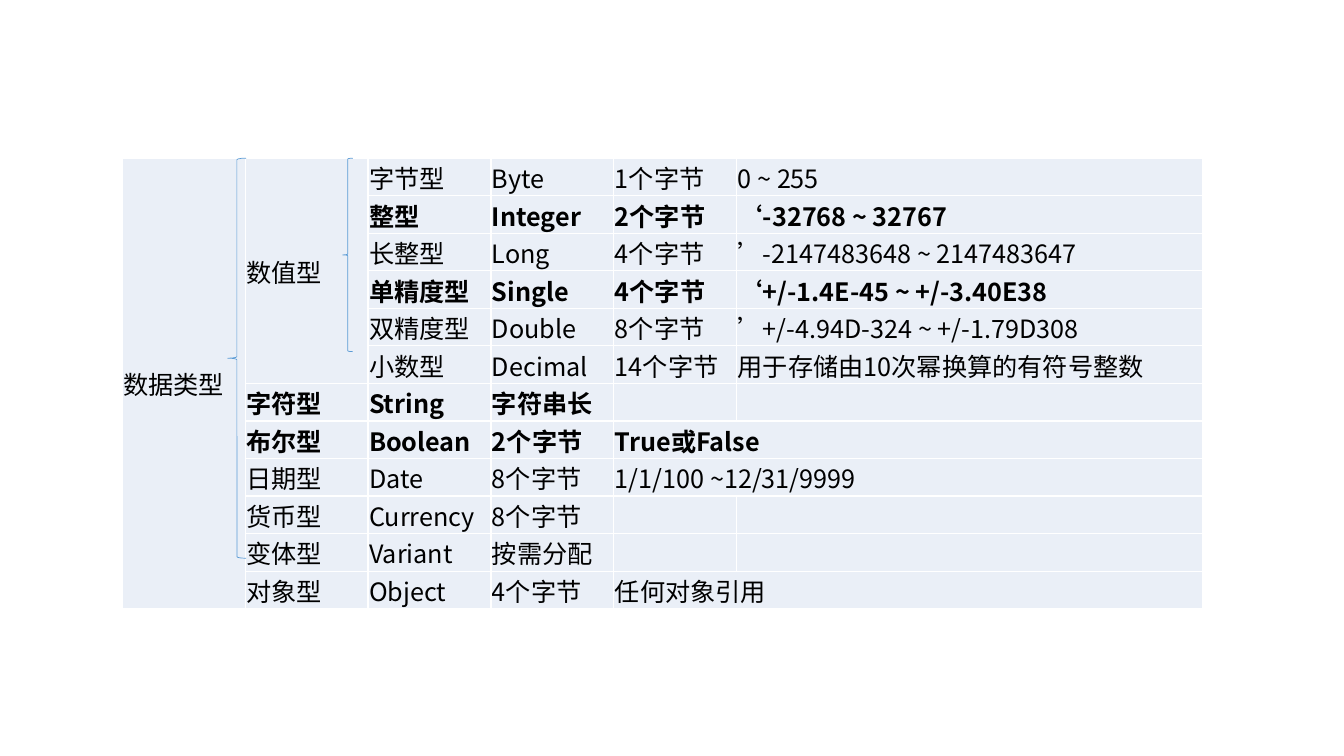
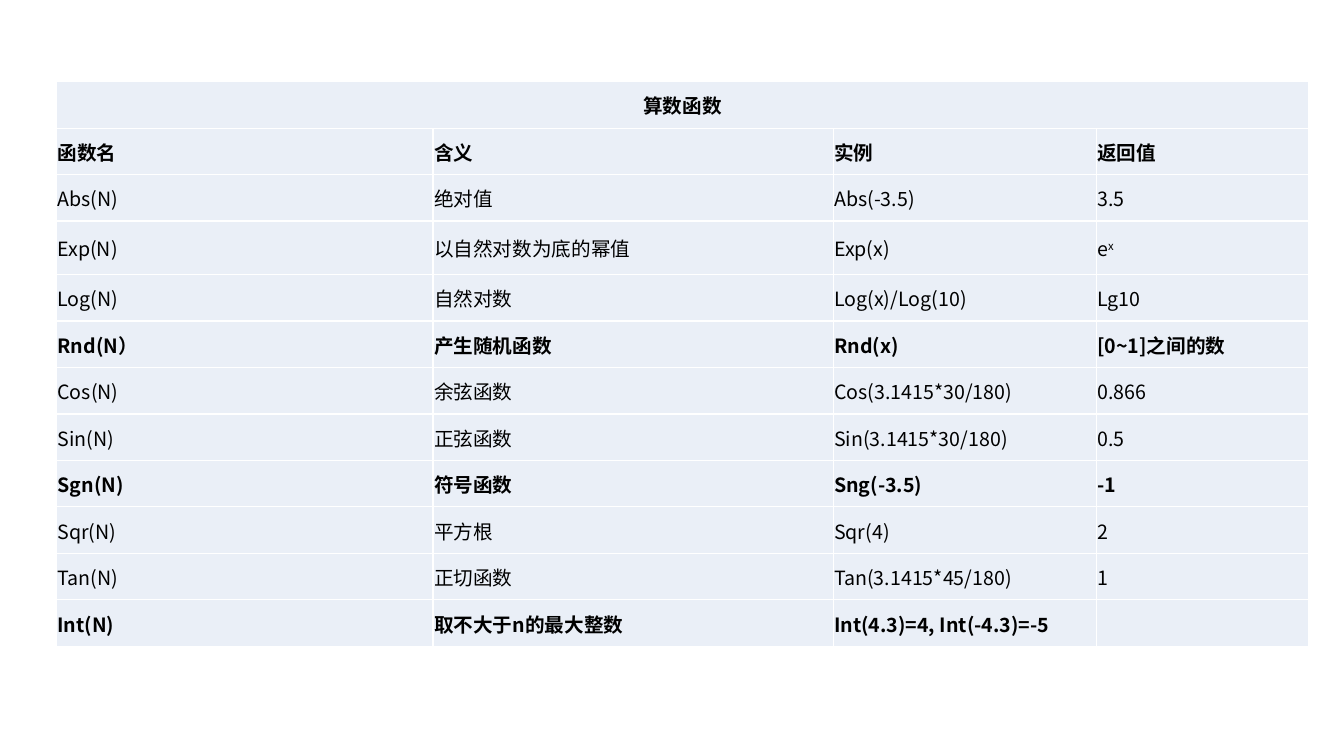
from lxml import etree
from pptx import Presentation
from pptx.dml.color import RGBColor
from pptx.enum.lang import MSO_LANGUAGE_ID
from pptx.enum.shapes import MSO_SHAPE
from pptx.enum.text import MSO_ANCHOR, PP_ALIGN
from pptx.oxml.ns import qn
from pptx.util import Pt

LEFT_BRACE = MSO_SHAPE.LEFT_BRACE
MIDDLE = MSO_ANCHOR.MIDDLE
CENTER, LEFT = PP_ALIGN.CENTER, PP_ALIGN.LEFT
CHINESE = MSO_LANGUAGE_ID.SIMPLIFIED_CHINESE
BLANK_LAYOUT = 6

FONT = "Noto Sans CJK SC"
COLORS = {"text": "000000", "cell": "EAEFF7", "border": "FFFFFF", "brace": "5B9BD5"}

# Content: a cell is a string, or (text, superscript)
DATA_TYPES = [
    ["数据类型", "数值型", "字节型", "Byte", "1个字节", "0 ~ 255"],
    ["", "", "整型", "Integer", "2个字节", "‘-32768 ~ 32767"],
    ["", "", "长整型", "Long", "4个字节", "’-2147483648 ~ 2147483647"],
    ["", "", "单精度型", "Single", "4个字节", "‘+/-1.4E-45 ~ +/-3.40E38"],
    ["", "", "双精度型", "Double", "8个字节", "’+/-4.94D-324 ~ +/-1.79D308"],
    ["", "", "小数型", "Decimal", "14个字节", "用于存储由10次幂换算的有符号整数"],
    ["", "字符型", "String", "字符串长", "", ""],
    ["", "布尔型", "Boolean", "2个字节", "True或False", ""],
    ["", "日期型", "Date", "8个字节", "1/1/100 ~12/31/9999", ""],
    ["", "货币型", "Currency", "8个字节", "", ""],
    ["", "变体型", "Variant", "按需分配", "", ""],
    ["", "对象型", "Object", "4个字节", "任何对象引用", ""],
]
FUNCTIONS = [
    ["算数函数", "", "", ""],
    ["函数名", "含义", "实例", "返回值"],
    ["Abs(N)", "绝对值", "Abs(-3.5)", "3.5"],
    ["Exp(N)", "以自然对数为底的幂值", "Exp(x)", ("e", "x")],
    ["Log(N)", "自然对数", "Log(x)/Log(10)", "Lg10"],
    ["Rnd(N）", "产生随机函数", "Rnd(x)", "[0~1]之间的数"],
    ["Cos(N)", "余弦函数", "Cos(3.1415*30/180)", "0.866"],
    ["Sin(N)", "正弦函数", "Sin(3.1415*30/180)", "0.5"],
    ["Sgn(N)", "符号函数", "Sng(-3.5)", "-1"],
    ["Sqr(N)", "平方根", "Sqr(4)", "2"],
    ["Tan(N)", "正切函数", "Tan(3.1415*45/180)", "1"],
    ["Int(N)", "取不大于n的最大整数", "Int(4.3)=4, Int(-4.3)=-5", ""],
]

# Layout: merges are (first row, first column, last row, last column)
TABLES = [
    {
        "rows": DATA_TYPES, "at": (87.3, 113), "size": 18,
        "widths": [87.8] * 5 + [332.6], "heights": [24.6] * 12,
        "bold_rows": {1, 3, 6, 7}, "centered_rows": set(),
        "merges": [(0, 0, 11, 0), (0, 1, 5, 1)] + [(r, 4, r, 5) for r in (7, 8, 11)],
        "braces": [(162.7, 113, 13, 285.8), (244.8, 113, 7.2, 138.2)],
    },
    {
        "rows": FUNCTIONS, "at": (40.3, 58.3), "size": 14,
        "widths": [269, 285.8, 187.9, 151.9], "heights": [33.2] * 3 + [38.2] + [33.2] * 8,
        "bold_rows": {0, 1, 5, 8, 11}, "centered_rows": {0},
        "merges": [(0, 0, 0, 3)],
        "braces": [],
    },
]


def color(name):
    return RGBColor.from_string(COLORS[name])


def set_borders(cell):
    properties = cell._tc.get_or_add_tcPr()
    for side in ("a:lnL", "a:lnR", "a:lnT", "a:lnB"):
        line = etree.SubElement(properties, qn(side), w=str(Pt(1)))
        fill = etree.SubElement(line, qn("a:solidFill"))
        etree.SubElement(fill, qn("a:srgbClr"), val=COLORS["border"])


def fill_cell(cell, content, size, bold, align):
    set_borders(cell)
    cell.fill.solid()
    cell.fill.fore_color.rgb = color("cell")
    cell.vertical_anchor = MIDDLE
    cell.margin_left = cell.margin_right = cell.margin_top = Pt(0.75)
    cell.margin_bottom = 0

    para = cell.text_frame.paragraphs[0]
    para.alignment = align
    font = para.font
    font.name, font.size, font.bold = FONT, Pt(size), bold
    font.language_id = CHINESE
    font.color.rgb = color("text")
    etree.SubElement(font._element, qn("a:ea"), typeface=FONT)

    text, superscript = content if isinstance(content, tuple) else (content, "")
    if text:
        para.add_run().text = text
    if superscript:
        run = para.add_run()
        run.text = superscript
        run.font._element.set("baseline", "30000")


def add_data_table(page, layout):
    rows, widths, heights = layout["rows"], layout["widths"], layout["heights"]
    left, top = layout["at"]
    table = page.shapes.add_table(len(rows), len(widths), Pt(left), Pt(top),
                                  Pt(sum(widths)), Pt(sum(heights))).table
    table.first_row = table.horz_banding = False
    for column, width in zip(table.columns, widths):
        column.width = Pt(width)
    for r, (row, height) in enumerate(zip(rows, heights)):
        table.rows[r].height = Pt(height)
        align = CENTER if r in layout["centered_rows"] else LEFT
        for c, content in enumerate(row):
            fill_cell(table.cell(r, c), content, layout["size"],
                      r in layout["bold_rows"], align)
    for top_row, first, bottom_row, last in layout["merges"]:
        table.cell(top_row, first).merge(table.cell(bottom_row, last))


def add_brace(page, frame):
    brace = page.shapes.add_shape(LEFT_BRACE, *map(Pt, frame))
    brace.shadow.inherit = False
    brace.fill.background()
    brace.line.color.rgb = color("brace")
    brace.line.width = Pt(0.5)


# Build the deck
deck = Presentation()
deck.slide_width, deck.slide_height = Pt(960), Pt(540)
for layout in TABLES:
    page = deck.slides.add_slide(deck.slide_layouts[BLANK_LAYOUT])
    add_data_table(page, layout)
    for frame in layout["braces"]:
        add_brace(page, frame)
deck.save("out.pptx")
